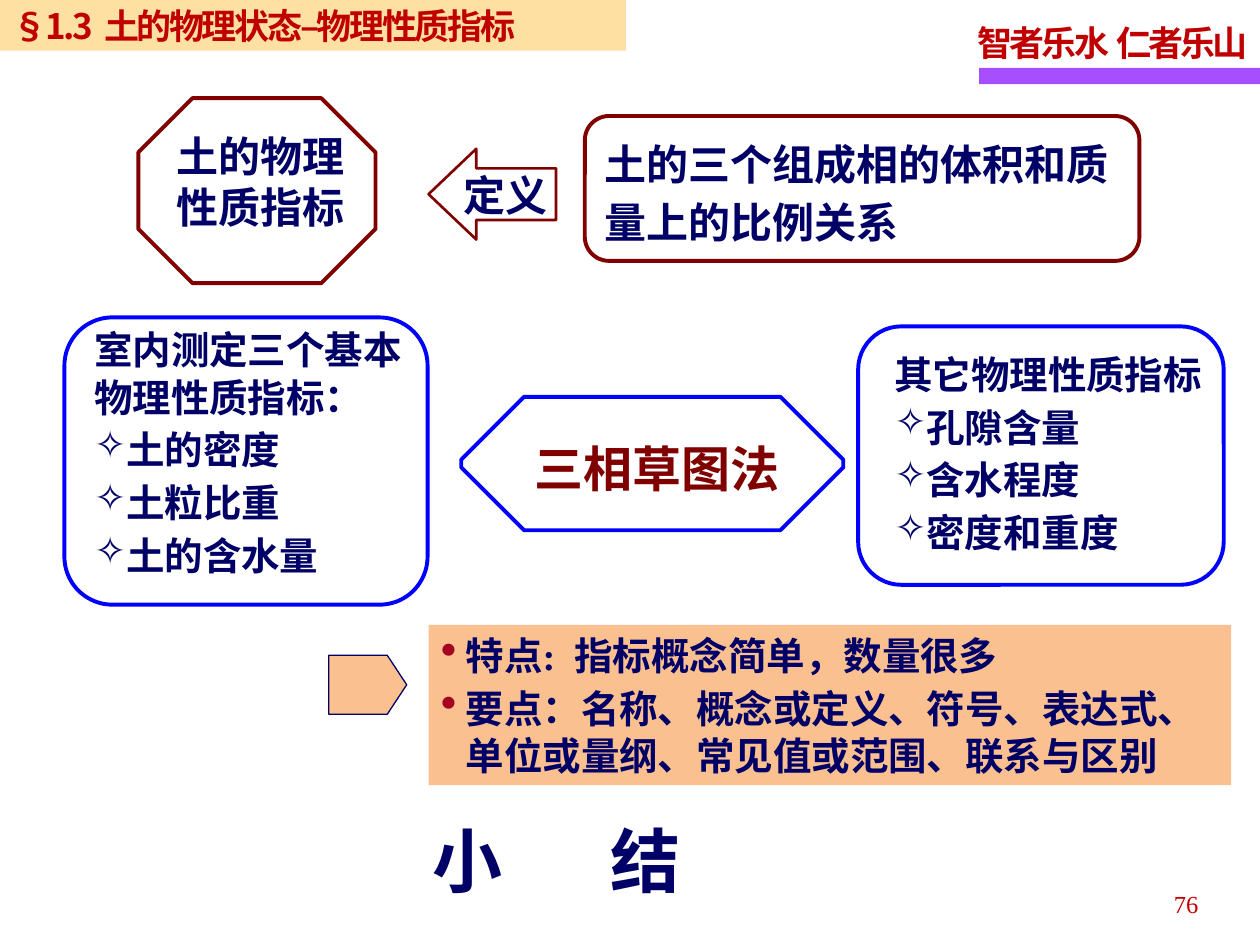
import pptx
import pptx.util
import pptx.dml.color
import pptx.enum.shapes
import pptx.enum.text
import pptx.oxml.ns
import lxml.etree

Cm, Pt = pptx.util.Cm, pptx.util.Pt
RGB = pptx.dml.color.RGBColor
SHAPE = pptx.enum.shapes.MSO_SHAPE
ALIGN = pptx.enum.text.PP_ALIGN
ANCHOR = pptx.enum.text.MSO_ANCHOR
qn = pptx.oxml.ns.qn

NAVY = RGB(0x00, 0x00, 0x66)
BLUE = RGB(0x00, 0x00, 0xFF)
MAROON = RGB(0x80, 0x00, 0x00)
RED = RGB(0xC0, 0x00, 0x00)
CRIMSON = RGB(0xA5, 0x00, 0x21)
PURPLE = RGB(0xA7, 0x4F, 0xFF)
PEACH = RGB(0xFA, 0xC0, 0x90)
AMBER = RGB(0xFF, 0xCC, 0x66)

SERIF, SANS, CJK = "Times New Roman", "Arial", "Noto Sans CJK SC"
INSET = (0.25, 0.13)


def sub(parent, tag, **attrs):
    return lxml.etree.SubElement(parent, qn(tag), attrs)


def add_outline(s, kind, box, fill=None, line=None, width=2.25, adj=()):
    sp = s.shapes.add_shape(kind, *map(Cm, box))
    sp.shadow.inherit = False
    for i, value in enumerate(adj):
        sp.adjustments[i] = value
    if fill is None:
        sp.fill.background()
    else:
        sp.fill.solid()
        sp.fill.fore_color.rgb = fill
    if line is None:
        sp.line.fill.background()
    else:
        sp.line.color.rgb = line
        sp.line.width = Pt(width)
    return sp


def add_bullet(p, char, hang, color=None, percent=100):
    pPr = p._p.get_or_add_pPr()
    pPr.set("marL", str(Cm(hang)))
    pPr.set("indent", str(-Cm(hang)))
    if color is not None:
        sub(sub(pPr, "a:buClr"), "a:srgbClr", val=str(color))
    sub(pPr, "a:buSzPct", val=str(percent * 1000))
    sub(pPr, "a:buChar", char=char)


def write(sp, lines, size, leading, font=SERIF, color=NAVY, bold=True, align=ALIGN.LEFT,
          anchor=ANCHOR.TOP, inset=INSET, gap=0, spacing=None, wrap=True):
    """Fill a shape with paragraphs of one style; leading and gap are in points."""
    tf = sp.text_frame
    tf.auto_size = pptx.enum.text.MSO_AUTO_SIZE.NONE
    tf.word_wrap = wrap
    tf.vertical_anchor = anchor
    tf.margin_left = tf.margin_right = Cm(inset[0])
    tf.margin_top = tf.margin_bottom = Cm(inset[1])
    for i, text in enumerate(lines):
        p = tf.add_paragraph() if i else tf.paragraphs[0]
        p.text = text
        p.alignment = align
        p.line_spacing = Pt(leading)
        p.space_before = Pt(gap if i else 0)
        p.space_after = Pt(gap)
        for r in p.runs:
            r.font.name, r.font.size, r.font.bold = font, Pt(size), bold
            r.font.color.rgb = color
            rPr = r._r.get_or_add_rPr()
            sub(rPr, "a:ea", typeface=CJK)
            if spacing:
                rPr.set("spc", str(round(spacing * 100)))
    return tf


def add_text(s, box, lines, size, leading, **style):
    return write(s.shapes.add_textbox(*map(Cm, box)), lines, size, leading, **style)


def section_title(s, box):
    sp = s.shapes.title
    sp.left, sp.top, sp.width, sp.height = map(Cm, box)
    sp.fill.solid()
    sp.fill.fore_color.rgb = AMBER
    sub(sp._element.spPr.find(".//" + qn("a:srgbClr")), "a:alpha", val="60000")
    write(sp, ["§1.3  土的物理状态–物理性质指标"], 20, 24, font=CJK, color=RED,
          anchor=ANCHOR.MIDDLE, inset=(0.25, 0), spacing=-1.4)


def motto(s, box):
    x, y, w, h = box
    add_outline(s, SHAPE.RECTANGLE, (x + 0.28, y + 1.19, w - 0.33, 0.33), fill=PURPLE)
    add_text(s, box, ["智者乐水  仁者乐山"], 20, 27, color=RED,
             anchor=ANCHOR.MIDDLE, spacing=-1.7, wrap=False)


def definition(s, box):
    x, y, w, h = box
    # Term
    add_outline(s, SHAPE.OCTAGON, (x, y, 4.78, 3.73), line=MAROON, adj=[0.293])
    add_text(s, (x + 0.51, y + 0.51, 4, 2.31), ["土的物理性质指标"], 24, 29)
    # Arrow from the meaning to the term
    sp = add_outline(s, SHAPE.LEFT_ARROW, (x + 5.85, y + 1.02, 2.57, 1.83),
                     line=MAROON, width=1.5, adj=[0.569, 0.526])
    write(sp, ["定义"], 24, 29, font=SANS, align=ALIGN.CENTER,
          anchor=ANCHOR.MIDDLE, inset=(0, 0))
    # Meaning
    sp = add_outline(s, SHAPE.ROUNDED_RECTANGLE, (x + 9, y + 0.36, w - 9, 2.92),
                     line=MAROON, adj=[0.167])
    write(sp, ["土的三个组成相的体积和质量上的比例关系"], 24, 33.2, anchor=ANCHOR.MIDDLE)


def index_panel(s, box, text_box, lines, leading, gap, **style):
    """Rounded panel with a heading and starred items; text_box is relative to box."""
    x, y, w, h = box
    dx, dy, tw, th = text_box
    add_outline(s, SHAPE.ROUNDED_RECTANGLE, box, line=BLUE, adj=[0.167])
    tf = add_text(s, (x + dx, y + dy, tw, th), lines, 22, leading, gap=gap, **style)
    for p in tf.paragraphs[1:]:
        add_bullet(p, "✧", 0.6)


def method(s, box):
    x, y, w, h = box
    add_outline(s, SHAPE.OCTAGON, box, line=BLUE, adj=[0.471])
    add_text(s, (x + 0.78, y + 0.76, 6.32, 1.32), ["三相草图法"], 28, 34, font=SANS,
             color=MAROON, align=ALIGN.CENTER, anchor=ANCHOR.MIDDLE, inset=(0, 0))


def key_points(s, box):
    x, y, w, h = box
    add_outline(s, SHAPE.PENTAGON, (x, y + 0.61, 1.57, 1.19), fill=PEACH,
                line=NAVY, width=0.75, adj=[0.33])
    sp = add_outline(s, SHAPE.RECTANGLE, (x + 2.01, y, w - 2.01, h), fill=PEACH)
    tf = write(sp, ["特点:  指标概念简单，数量很多",
                    "要点：名称、概念或定义、符号、表达式、\n单位或量纲、常见值或范围、联系与区别"],
               22, 26.9, gap=1.7)
    for p in tf.paragraphs:
        add_bullet(p, "•", 0.5, CRIMSON, 120)


def summary(s, box):
    tf = add_text(s, box, ["小\t结"], 40, 50, font=SANS, inset=(0, 0))
    tabs = sub(tf.paragraphs[0]._p.get_or_add_pPr(), "a:tabLst")
    sub(tabs, "a:tab", pos=str(Cm(3.6)), algn="l")


def page_number(s, box):
    add_text(s, box, ["76"], 14, 18, color=RED, bold=False,
             align=ALIGN.RIGHT, anchor=ANCHOR.MIDDLE)


def main():
    prs = pptx.Presentation()
    prs.slide_width, prs.slide_height = Cm(25.4), Cm(19.05)
    s = prs.slides.add_slide(prs.slide_layouts[5])

    # Header
    section_title(s, (0, 0, 12.62, 1.02))
    motto(s, (19.46, 0.18, 5.99, 1.24))

    # Definition row
    definition(s, (2.79, 1.98, 20.18, 3.73))

    # Measured indices, method, derived indices
    index_panel(s, (1.3, 6.4, 7.32, 5.79), (0.35, 0, 7.09, 5.44),
                ["室内测定三个基本物理性质指标：", "土的密度", "土粒比重", "土的含水量"],
                27.4, 1.4)
    method(s, (9.3, 8, 7.7, 2.69))
    index_panel(s, (17.3, 6.58, 7.37, 5.21), (0.73, 0.41, 6.27, 4.24),
                ["其它物理性质指标", "孔隙含量", "含水程度", "密度和重度"],
                29, 0.5, font=SANS, inset=(0, 0))

    # Key points and footer
    key_points(s, (6.63, 12.6, 18.19, 3.23))
    summary(s, (8.71, 16.41, 5.74, 1.7))
    page_number(s, (18.49, 17.68, 5.92, 1.02))

    prs.save("out.pptx")


if __name__ == "__main__":
    main()
